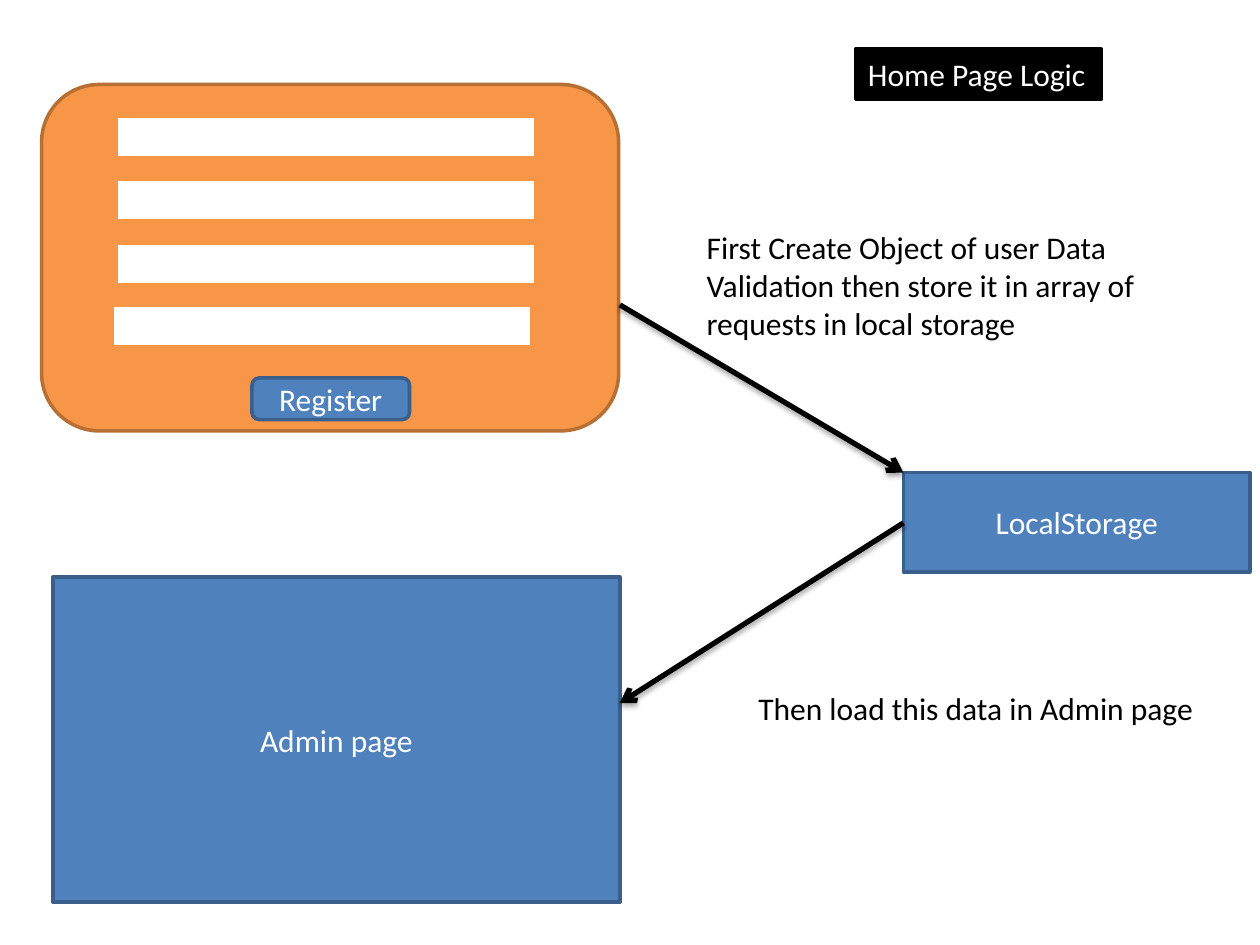
from dataclasses import dataclass

from lxml.etree import SubElement
from pptx import Presentation
from pptx.dml.color import RGBColor
from pptx.enum.shapes import MSO_CONNECTOR, MSO_SHAPE
from pptx.enum.text import MSO_ANCHOR, MSO_AUTO_SIZE, PP_ALIGN
from pptx.oxml import parse_xml
from pptx.oxml.ns import nsdecls, qn
from pptx.util import Inches, Pt

COLORS = {
    "orange": "F79646",
    "orange_edge": "B76F34",
    "blue": "4F81BD",
    "blue_edge": "3A5F8C",
    "white": "FFFFFF",
    "black": "000000",
}
FONT = {"name": "Calibri", "size": Pt(18)}
CENTERED = {"vertical_anchor": MSO_ANCHOR.MIDDLE, "word_wrap": True}
WRAPPED = {"auto_size": MSO_AUTO_SIZE.SHAPE_TO_FIT_TEXT, "word_wrap": True}
UNWRAPPED = {"auto_size": MSO_AUTO_SIZE.SHAPE_TO_FIT_TEXT, "word_wrap": False}
SHADOW = (
    f'<a:effectLst {nsdecls("a")}><a:outerShdw blurRad="{Pt(3.1)}" dist="{Pt(1.8)}" '
    'dir="5400000" rotWithShape="0"><a:srgbClr val="000000"><a:alpha val="35000"/>'
    "</a:srgbClr></a:outerShdw></a:effectLst>"
)


@dataclass
class Box:
    left: float
    top: float
    width: float
    height: float
    fill: str
    edge: str
    text: str = ""
    kind: MSO_SHAPE = MSO_SHAPE.RECTANGLE


@dataclass
class Label:
    left: float
    top: float
    width: float
    height: float
    text: str
    frame_format: dict
    color: str = "black"
    fill: str = ""


@dataclass
class Arrow:
    start: tuple[float, float]
    end: tuple[float, float]


def color(name: str) -> RGBColor:
    return RGBColor.from_string(COLORS[name])


def paint(shape, fill: str, edge: str) -> None:
    shape.fill.solid()
    shape.fill.fore_color.rgb = color(fill)
    shape.line.color.rgb = color(edge)
    shape.line.width = Pt(2)


def write(frame, text: str, text_color: str, align: PP_ALIGN, frame_format: dict) -> None:
    for name, value in frame_format.items():
        setattr(frame, name, value)
    para = frame.paragraphs[0]
    para.alignment = align
    span = para.add_run()
    span.text = text
    for name, value in FONT.items():
        setattr(span.font, name, value)
    span.font.color.rgb = color(text_color)


def place(item: Box | Label) -> list:
    return [Inches(value) for value in (item.left, item.top, item.width, item.height)]


def draw_box(page, box: Box) -> None:
    shape = page.shapes.add_shape(box.kind, *place(box))
    shape.shadow.inherit = False
    paint(shape, box.fill, box.edge)
    if box.text:
        write(shape.text_frame, box.text, "white", PP_ALIGN.CENTER, CENTERED)


def draw_label(page, label: Label) -> None:
    shape = page.shapes.add_textbox(*place(label))
    if label.fill:
        paint(shape, label.fill, label.fill)
    write(shape.text_frame, label.text, label.color, PP_ALIGN.LEFT, label.frame_format)


def draw_arrow(page, arrow: Arrow) -> None:
    ends = [Inches(value) for value in (*arrow.start, *arrow.end)]
    connector = page.shapes.add_connector(MSO_CONNECTOR.STRAIGHT, *ends)
    connector.line.color.rgb = color("black")
    connector.line.width = Pt(3)
    SubElement(connector.line._get_or_add_ln(), qn("a:tailEnd"), type="arrow")
    connector._element.spPr.append(parse_xml(SHADOW))


ROUNDED = MSO_SHAPE.ROUNDED_RECTANGLE
FIELDS = [(0.92, 0.92), (0.92, 1.42), (0.92, 1.93), (0.89, 2.42)]
BOXES = [
    Box(0.33, 0.67, 4.58, 2.75, "orange", "orange_edge", kind=ROUNDED),
    *(Box(left, top, 3.33, 0.33, "white", "orange") for left, top in FIELDS),
    Box(2, 3, 1.25, 0.33, "blue", "blue_edge", "Register", ROUNDED),
    Box(7.17, 3.75, 2.75, 0.79, "blue", "blue_edge", "LocalStorage"),
    Box(0.42, 4.58, 4.5, 2.58, "blue", "blue_edge", "Admin page"),
]
ARROWS = [
    Arrow((4.92, 2.42), (7.17, 3.75)),
    Arrow((7.17, 4.15), (4.92, 5.58)),
]
LABELS = [
    Label(5.51, 1.76, 3.92, 1.01,
          "First Create Object of user Data Validation then store it in array of "
          "requests in local storage", WRAPPED),
    Label(5.92, 5.42, 3.7, 0.4, "Then load this data in Admin page", UNWRAPPED),
    Label(6.79, 0.39, 1.95, 0.4, "Home Page Logic", UNWRAPPED, "white", "black"),
]

deck = Presentation()
deck.slide_width = Inches(10)
deck.slide_height = Inches(7.5)
page = deck.slides.add_slide(deck.slide_layouts[6])
for box in BOXES:
    draw_box(page, box)
for arrow in ARROWS:
    draw_arrow(page, arrow)
for label in LABELS:
    draw_label(page, label)
deck.save("out.pptx")
